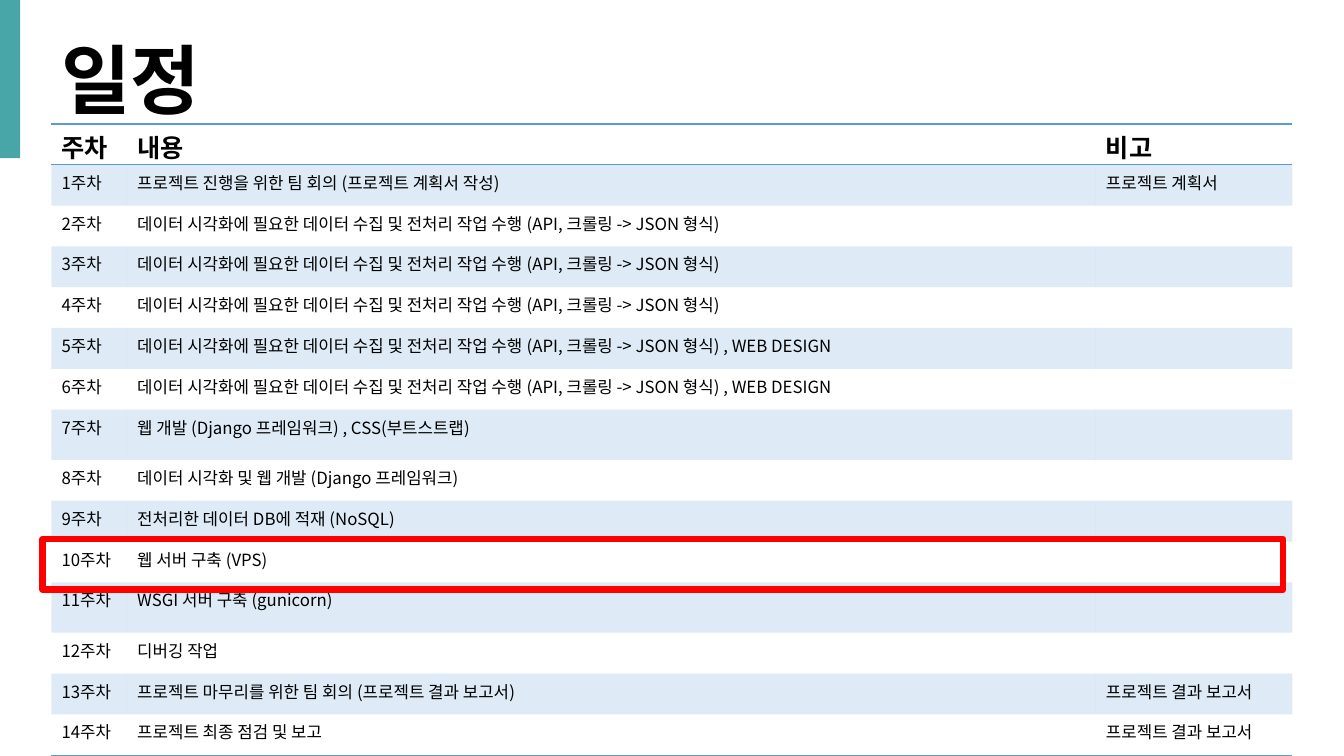
"""Builds the project schedule slide."""
from lxml import etree
from pptx import Presentation
from pptx.dml.color import RGBColor
from pptx.enum.shapes import MSO_SHAPE
from pptx.oxml.ns import qn
from pptx.util import Inches, Pt

RECTANGLE = MSO_SHAPE.RECTANGLE
TEAL = RGBColor(0x49, 0xA6, 0xA6)
BLUE = RGBColor(0x5B, 0x9B, 0xD5)
RED = RGBColor(0xFF, 0x00, 0x00)
BLACK = RGBColor(0x00, 0x00, 0x00)
FONT = "Noto Sans CJK KR"
PLAIN_TABLE = "{2D5ABB26-0587-4C30-8999-92F81FD0307C}"

COLLECT = "데이터 시각화에 필요한 데이터 수집 및 전처리 작업 수행 (API, 크롤링 -> JSON 형식)"
REPORT = "프로젝트 결과 보고서"
HEADINGS = ("주차", "내용", "비고")
TASKS = [
    "프로젝트 진행을 위한 팀 회의 (프로젝트 계획서 작성)",
    COLLECT,
    COLLECT,
    COLLECT,
    COLLECT + " , WEB DESIGN",
    COLLECT + " , WEB DESIGN",
    "웹 개발 (Django 프레임워크) , CSS(부트스트랩)",
    "데이터 시각화 및 웹 개발 (Django 프레임워크)",
    "전처리한 데이터 DB에 적재 (NoSQL)",
    "웹 서버 구축 (VPS)",
    "WSGI 서버 구축 (gunicorn)",
    "디버깅 작업",
    "프로젝트 마무리를 위한 팀 회의 (프로젝트 결과 보고서)",
    "프로젝트 최종 점검 및 보고",
]
NOTES = {1: "프로젝트 계획서", 13: REPORT, 14: REPORT}
COLUMN_SHARES = (5.63, 72.08, 14.62)
ROW_SHARE = 5.4
TALL_ROW_SHARE = 6.67
TALL_WEEKS = (7, 11)


class SlideBuilder:
    """Holds the style and slide; lengths are percentages of the slide size."""

    def __init__(self, deck):
        self.width, self.height = deck.slide_width, deck.slide_height
        self.slide = deck.slides.add_slide(deck.slide_layouts[6])

    def across(self, share):
        return round(self.width * share / 100)

    def down(self, share):
        return round(self.height * share / 100)

    def place(self, left, top, width, height):
        return self.across(left), self.down(top), self.across(width), self.down(height)

    def rectangle(self, area, fill=None, line=None, weight=0):
        box = self.slide.shapes.add_shape(RECTANGLE, *self.place(*area))
        box.shadow.inherit = False
        if fill is None:
            box.fill.background()
        else:
            box.fill.solid()
            box.fill.fore_color.rgb = fill
        if line is None:
            box.line.fill.background()
        else:
            box.line.color.rgb = line
            box.line.width = Pt(weight)

    def add_text(self, frame, text, size, bold=False):
        paragraph = frame.paragraphs[0]
        if not text:
            end = etree.SubElement(paragraph._p, qn("a:endParaRPr"))
            end.set("sz", str(size * 100))
            return
        run = paragraph.add_run()
        run.text = text
        run.font.name = FONT
        run.font.size = Pt(size)
        run.font.bold = bold
        run.font.color.rgb = BLACK
        east_asian = etree.SubElement(run._r.get_or_add_rPr(), qn("a:ea"))
        east_asian.set("typeface", FONT)

    def title(self, text, area):
        frame = self.slide.shapes.add_textbox(*self.place(*area)).text_frame
        frame.word_wrap = False
        self.add_text(frame, text, 54, True)

    def border(self, cell, side):
        line = etree.Element(qn(f"a:{side}"), w=str(Pt(1)))
        fill = etree.SubElement(line, qn("a:solidFill"))
        etree.SubElement(fill, qn("a:srgbClr"), val=str(BLUE))
        cell._tc.get_or_add_tcPr().insert(0, line)

    def shade(self, cell, banded):
        if not banded:
            cell.fill.background()
            return
        cell.fill.solid()
        cell.fill.fore_color.rgb = BLUE
        color = cell._tc.tcPr.find(".//" + qn("a:srgbClr"))
        etree.SubElement(color, qn("a:alpha"), val="20000")

    def schedule(self, rows, left, top):
        heights = [TALL_ROW_SHARE if week in TALL_WEEKS else ROW_SHARE
                   for week in range(len(rows))]
        area = self.place(left, top, sum(COLUMN_SHARES), sum(heights))
        table = self.slide.shapes.add_table(len(rows), len(HEADINGS), *area).table
        table.first_row = table.horz_banding = False
        table._tbl.tblPr.find(qn("a:tableStyleId")).text = PLAIN_TABLE
        for column, share in zip(table.columns, COLUMN_SHARES):
            column.width = self.across(share)
        for week, texts in enumerate(rows):
            table.rows[week].height = self.down(heights[week])
            is_header = week == 0
            for index, text in enumerate(texts):
                cell = table.cell(week, index)
                self.add_text(cell.text_frame, text, 18 if is_header else 12, is_header)
                self.shade(cell, week % 2 == 1)
                if is_header:
                    cell.margin_top, cell.margin_bottom = Inches(0.04), 0
                if is_header or week == len(rows) - 1:
                    self.border(cell, "lnB")
                if is_header:
                    self.border(cell, "lnT")


def main():
    deck = Presentation()
    deck.slide_width, deck.slide_height = Inches(13.33), Inches(7.5)
    builder = SlideBuilder(deck)
    builder.rectangle((0, 0, 1.5, 20.93), fill=TEAL)
    builder.title("일정", (3.83, 3.73, 12.9, 13.47))
    weeks = [(f"{week}주차", task, NOTES.get(week, ""))
             for week, task in enumerate(TASKS, 1)]
    builder.schedule([HEADINGS] + weeks, 3.83, 16.4)
    builder.rectangle((3.15, 71.33, 92.33, 6.67), line=RED, weight=4.5)
    deck.save("out.pptx")


if __name__ == "__main__":
    main()
